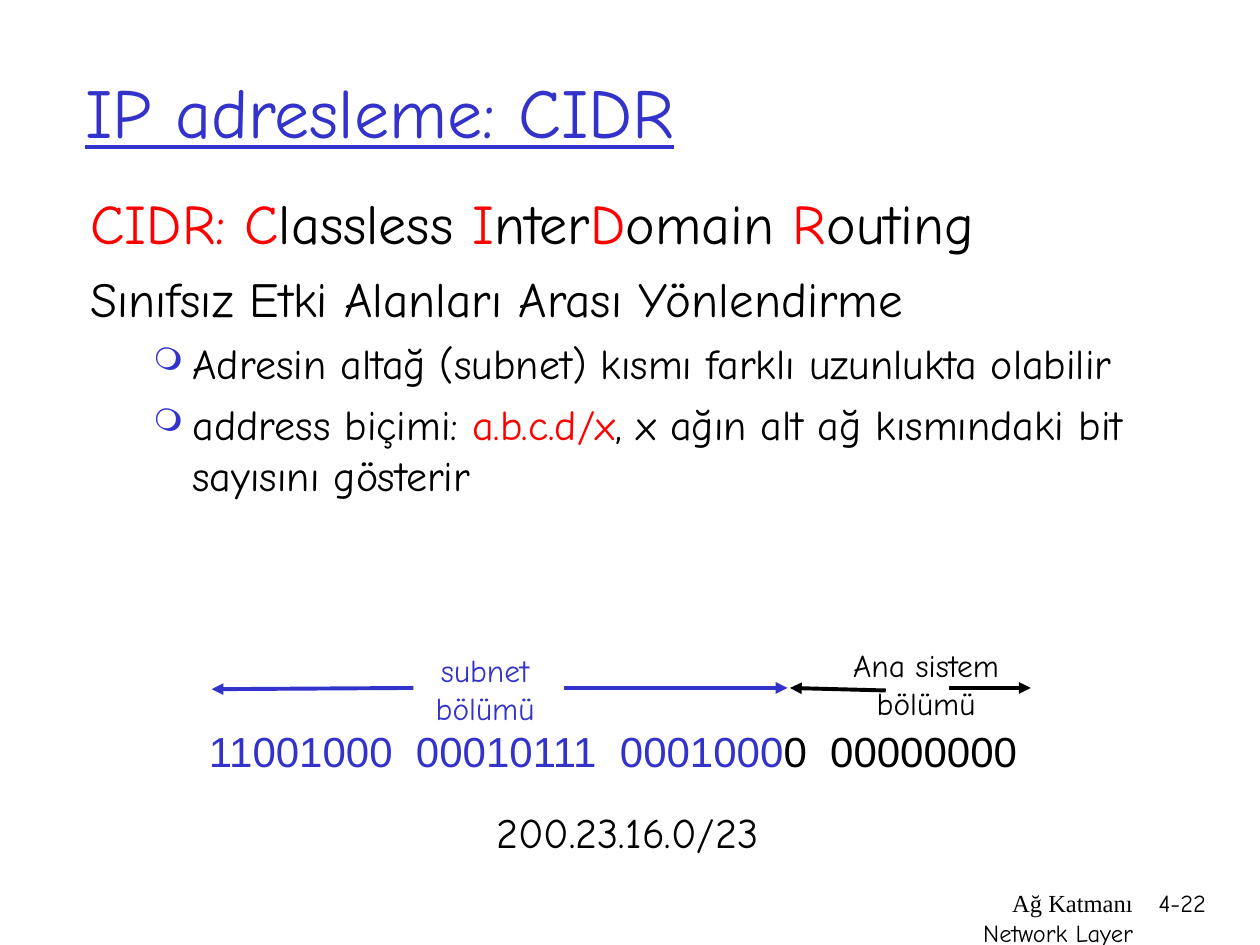
from dataclasses import dataclass

from lxml.etree import SubElement
from pptx import Presentation
from pptx.dml.color import RGBColor
from pptx.enum.shapes import MSO_CONNECTOR
from pptx.enum.text import MSO_ANCHOR, PP_ALIGN
from pptx.oxml.ns import qn
from pptx.util import Inches, Pt

COLORS = {"blue": "3333CC", "red": "FF0000", "black": "000000"}
COMIC = "Comic Neue"


@dataclass(frozen=True)
class Span:
    text: str
    size: float
    color: str = "black"
    font: str = COMIC
    underline: bool = False


@dataclass(frozen=True)
class Line:
    spans: tuple[Span, ...]
    align: PP_ALIGN = PP_ALIGN.LEFT
    space_before: float = 0
    bullet: bool = False


@dataclass(frozen=True)
class TextBlock:
    left: float
    top: float
    width: float
    height: float
    lines: tuple[Line, ...]
    anchor: MSO_ANCHOR = MSO_ANCHOR.TOP
    wrap: bool = True


@dataclass(frozen=True)
class Arrow:
    start: tuple[float, float]
    end: tuple[float, float]
    color: str


def rgb(color: str) -> RGBColor:
    return RGBColor.from_string(COLORS[color])


def add_bullet(paragraph) -> None:
    """Give the paragraph a hanging blue ring."""
    properties = paragraph._p.get_or_add_pPr()
    properties.set("marL", str(Inches(0.81)))
    properties.set("indent", str(Inches(-0.31)))
    bullet_color = SubElement(properties, qn("a:buClr"))
    SubElement(bullet_color, qn("a:srgbClr"), val=COLORS["blue"])
    SubElement(properties, qn("a:buSzPct"), val="75000")
    SubElement(properties, qn("a:buChar"), char="❍")


def add_text(slide, block: TextBlock) -> None:
    frame = slide.shapes.add_textbox(
        Inches(block.left), Inches(block.top), Inches(block.width), Inches(block.height)
    ).text_frame
    frame.word_wrap = block.wrap
    frame.vertical_anchor = block.anchor
    for index, line in enumerate(block.lines):
        paragraph = frame.add_paragraph() if index else frame.paragraphs[0]
        paragraph.alignment = line.align
        paragraph.space_before = Pt(line.space_before)
        if line.bullet:
            add_bullet(paragraph)
        for span in line.spans:
            run = paragraph.add_run()
            run.text = span.text
            run.font.name = span.font
            run.font.size = Pt(span.size)
            run.font.underline = span.underline
            run.font.color.rgb = rgb(span.color)


def add_arrow(slide, arrow: Arrow) -> None:
    points = [Inches(value) for value in arrow.start + arrow.end]
    connector = slide.shapes.add_connector(MSO_CONNECTOR.STRAIGHT, *points)
    connector.line.color.rgb = rgb(arrow.color)
    connector.line.width = Pt(2.25)
    SubElement(connector.line._get_or_add_ln(), qn("a:tailEnd"), type="triangle")
    SubElement(connector._element.spPr, qn("a:effectLst"))


def part_label(words: tuple[str, ...], color: str) -> tuple[Line, ...]:
    return tuple(Line((Span(word, 18, color),), PP_ALIGN.CENTER) for word in words)


FOOTER = TextBlock(5.92, 7, 3.17, 0.5, (
    Line((Span("Ağ Katmanı", 14, font="Times New Roman"),), PP_ALIGN.RIGHT),
    Line((Span("Network Layer", 14),), PP_ALIGN.RIGHT),
))
PAGE_NUMBER = TextBlock(8.93, 7, 0.74, 0.5, (Line((Span("4-22", 14),), PP_ALIGN.RIGHT),))
TITLE = TextBlock(
    0.58, 0.25, 8.5, 1.25,
    (Line((Span("IP adresleme: CIDR", 40, "blue", underline=True),)),),
    anchor=MSO_ANCHOR.MIDDLE,
)

ACRONYM = (
    ("CIDR: C", "red"), ("lassless ", "black"), ("I", "red"), ("nter", "black"),
    ("D", "red"), ("omain ", "black"), ("R", "red"), ("outing", "black"),
)
BODY = TextBlock(0.62, 1.45, 8.87, 3.47, (
    Line(tuple(Span(text, 32, color) for text, color in ACRONYM), space_before=8),
    Line((Span("Sınıfsız Etki Alanları Arası Yönlendirme", 28),), space_before=7),
    Line(
        (Span("Adresin altağ (subnet) kısmı farklı uzunlukta olabilir", 24),),
        space_before=6, bullet=True,
    ),
    Line(
        (
            Span("address biçimi: ", 24),
            Span("a.b.c.d/x", 24, "red"),
            Span(", x ağın alt ağ kısmındaki bit sayısını gösterir", 24),
        ),
        space_before=6, bullet=True,
    ),
))

ADDRESS_BITS = TextBlock(1.56, 5.71, 6.69, 0.5, (Line((
    Span("11001000  00010111  0001000", 24, "blue", "Arial"),
    Span("0  00000000", 24, font="Arial"),
)),), wrap=False)
SUBNET_LABEL = TextBlock(
    3.36, 5.12, 0.98, 0.7, part_label(("subnet", "bölümü"), "blue"), wrap=False
)
HOST_LABEL = TextBlock(
    6.67, 5.08, 1.36, 0.7, part_label(("Ana sistem", "bölümü"), "black"), wrap=False
)
PREFIX = TextBlock(
    3.84, 6.35, 2.28, 0.5, (Line((Span("200.23.16.0/23", 24),)),), wrap=False
)

TEXTS = (FOOTER, PAGE_NUMBER, TITLE, BODY, ADDRESS_BITS, SUBNET_LABEL, HOST_LABEL, PREFIX)
ARROWS = (
    Arrow((4.48, 5.46), (6.25, 5.46), "blue"),
    Arrow((3.28, 5.46), (1.68, 5.47), "blue"),
    Arrow((7.03, 5.48), (6.27, 5.46), "black"),
    Arrow((7.53, 5.46), (8.18, 5.46), "black"),
)


def main() -> None:
    presentation = Presentation()
    presentation.slide_width = Inches(10)
    presentation.slide_height = Inches(7.5)
    slide = presentation.slides.add_slide(presentation.slide_layouts[6])
    for block in TEXTS:
        add_text(slide, block)
    for arrow in ARROWS:
        add_arrow(slide, arrow)
    presentation.save("out.pptx")


if __name__ == "__main__":
    main()
